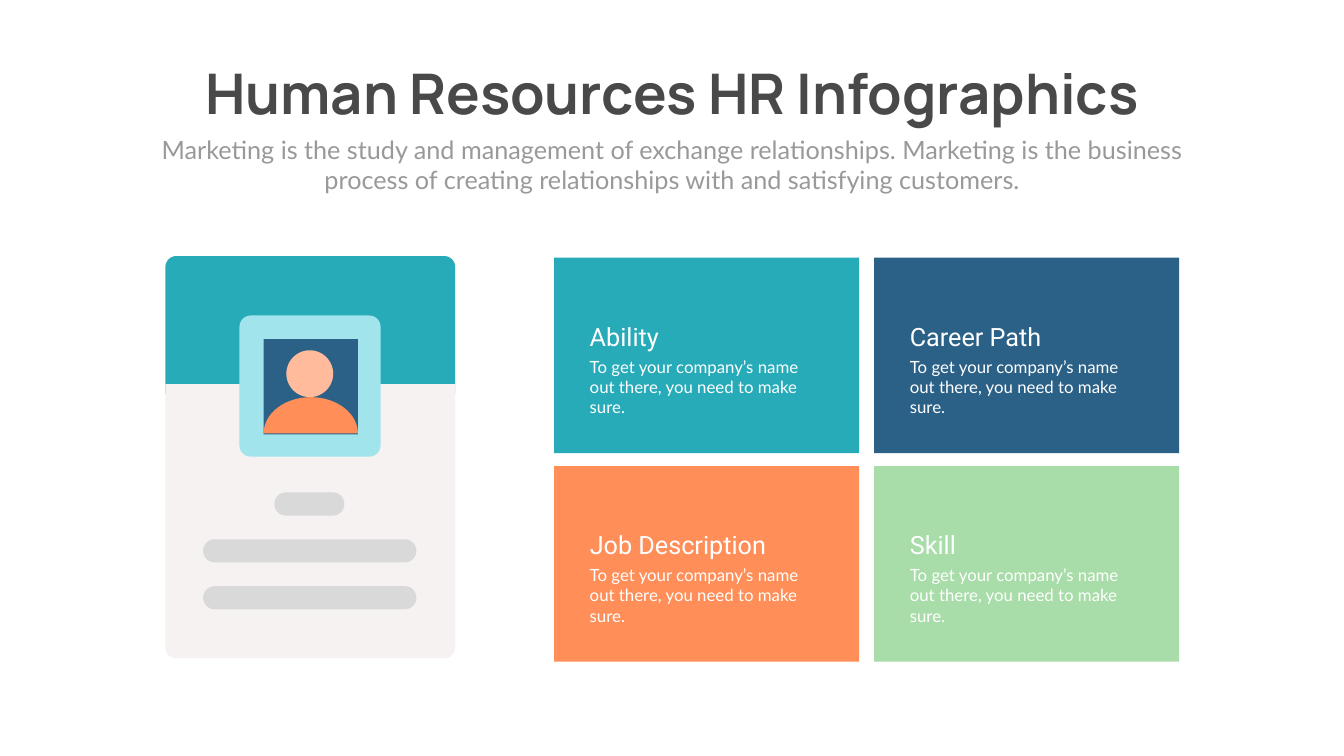
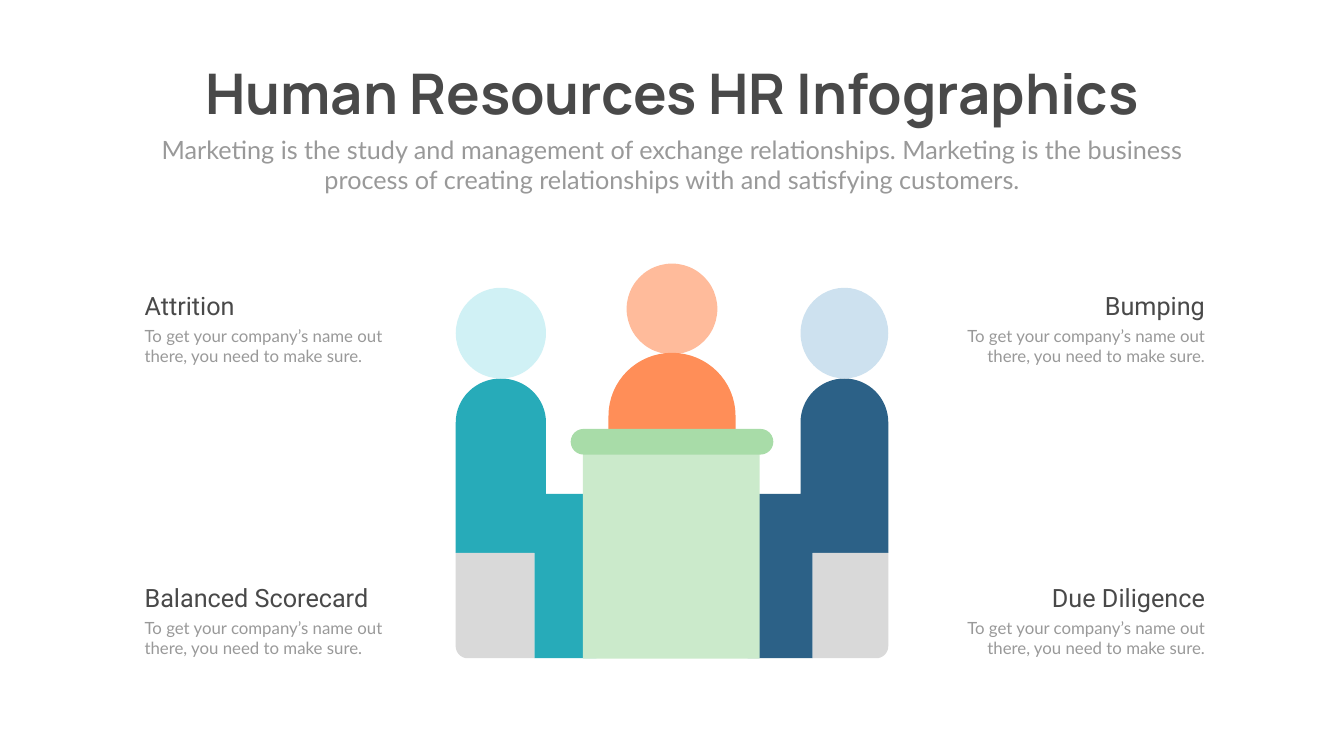
"""Build two human resources infographic slides."""
import math

import pptx
import pptx.dml.color
import pptx.enum.shapes
import pptx.enum.text
import pptx.util

Inches = pptx.util.Inches
SHAPES = pptx.enum.shapes.MSO_SHAPE
ALIGN = pptx.enum.text.PP_ALIGN

TEAL, NAVY, ORANGE, GREEN = "27ABB9", "2C6187", "FF8E58", "A8DCA8"
SKIN, GREY, WHITE = "FFBB9B", "D9D9D9", "FFFFFF"
DARK_TEXT, LIGHT_TEXT = "494949", "999999"

TITLE = "Human Resources HR Infographics"
SUBTITLE = (
    "Marketing is the study and management of exchange relationships. "
    "Marketing is the business process of creating relationships with "
    "and satisfying customers."
)
DESCRIPTION = "To get your company’s name out there, you need to make sure."


def color(hex_value):
    """Return the colour for a hex string."""
    return pptx.dml.color.RGBColor.from_string(hex_value)


def arc(center_x, center_y, radius_x, radius_y, start, end, steps=32):
    """Return points along an elliptical arc, with angles in degrees."""
    angles = [math.radians(start + (end - start) * i / steps) for i in range(steps + 1)]
    return [
        (center_x + radius_x * math.cos(a), center_y - radius_y * math.sin(a))
        for a in angles
    ]


class Deck:
    """Hold the shared style and the current slide."""

    def __init__(self):
        """Start an empty wide presentation."""
        self.presentation = pptx.Presentation()
        self.presentation.slide_width = Inches(26.66)
        self.presentation.slide_height = Inches(15)
        self.slide = None

    def add_slide(self):
        """Add a slide with the shared title and subtitle."""
        self.slide = self.presentation.slides.add_slide(self.presentation.slide_layouts[5])
        title = self.slide.shapes.title
        title.left, title.top = Inches(3.28), Inches(1.12)
        title.width, title.height = Inches(20.11), Inches(1.45)
        self.set_text(title, TITLE, "Manrope", 80, DARK_TEXT, ALIGN.CENTER, bold=True, wrap=False)
        self.text(2.92, 2.61, 20.82, 1.31, SUBTITLE, "Lato", 36, LIGHT_TEXT, ALIGN.CENTER)

    def set_text(self, shape, text, font, size, hex_value, align, bold=False, wrap=True):
        """Put formatted text into a shape."""
        frame = shape.text_frame
        frame.text = text
        frame.word_wrap = wrap
        frame.auto_size = pptx.enum.text.MSO_AUTO_SIZE.SHAPE_TO_FIT_TEXT
        frame.vertical_anchor = pptx.enum.text.MSO_ANCHOR.TOP
        paragraph = frame.paragraphs[0]
        paragraph.alignment = align
        run_font = paragraph.runs[0].font
        run_font.name, run_font.size, run_font.bold = font, pptx.util.Pt(size), bold
        run_font.color.rgb = color(hex_value)

    def text(self, left, top, width, height, text, font, size, hex_value, align=ALIGN.LEFT):
        """Add a text box."""
        box = self.slide.shapes.add_textbox(
            Inches(left), Inches(top), Inches(width), Inches(height))
        self.set_text(box, text, font, size, hex_value, align)

    def topic(self, edge, top, heading, heading_width, width, heading_color, body_color,
              align=ALIGN.LEFT):
        """Add a heading above its description, aligned to an edge."""
        rows = [
            (top + 0.7, width, 0.91, DESCRIPTION, "Lato", 24, body_color),
            (top, heading_width, 0.71, heading, "Roboto", 36, heading_color),
        ]
        for row_top, row_width, *style in rows:
            left = edge - row_width if align == ALIGN.RIGHT else edge
            self.text(left, row_top, row_width, *style, align)

    def paint(self, shape, hex_value):
        """Give a shape a flat fill without line or shadow."""
        shape.fill.solid()
        shape.fill.fore_color.rgb = color(hex_value)
        shape.line.fill.background()
        shape.shadow.inherit = False

    def shape(self, kind, left, top, width, height, hex_value, adjustments=()):
        """Add a flat preset shape."""
        shape = self.slide.shapes.add_shape(
            kind, Inches(left), Inches(top), Inches(width), Inches(height))
        for index, value in enumerate(adjustments):
            shape.adjustments[index] = value
        self.paint(shape, hex_value)

    def polygon(self, points, hex_value):
        """Add a flat closed outline."""
        start, *rest = [(Inches(x), Inches(y)) for x, y in points]
        builder = self.slide.shapes.build_freeform(*start)
        builder.add_line_segments(rest, close=True)
        self.paint(builder.convert_to_shape(), hex_value)

    def shoulders(self, left, top, width, height, rise, hex_value):
        """Add a rounded bust that stands on a flat base."""
        points = arc(left + width / 2, top + rise, width / 2, rise, 180, 0)
        base = [(left + width, top + height), (left, top + height)]
        self.polygon(points + base, hex_value)

    def seated_person(self, edge, direction, torso, seat, body_color, head_color):
        """Add a person on a seat, built inwards from an outer edge."""
        def place(points):
            """Turn distances from the outer edge into slide positions."""
            return [(edge + direction * x, y) for x, y in points]

        seat_top, floor, corner = 10.97, 13.06, 0.24
        body = arc(torso / 2, 8.38, torso / 2, 0.87, 180, 0) + [
            (torso, 9.8), (2.79, 9.8), (2.79, floor), (seat, floor),
            (seat, seat_top), (0, seat_top)]
        self.polygon(place(body), body_color)
        chair = [(0, seat_top)] + arc(corner, floor - corner, corner, corner, 180, 270) + [
            (seat, floor), (seat, seat_top)]
        self.polygon(place(chair), GREY)
        head_left = min(edge, edge + direction * torso)
        self.shape(SHAPES.OVAL, head_left, 5.71, torso, 1.8, head_color)


def add_profile_slide(deck):
    """Add the profile card beside four coloured tiles."""
    deck.add_slide()
    deck.shape(SHAPES.ROUND_2_SAME_RECTANGLE, 3.28, 5.08, 5.75, 2.73, TEAL, [0.08, 0])
    deck.shape(SHAPES.ROUND_2_SAME_RECTANGLE, 3.28, 7.62, 5.75, 5.44, "F5F2F1", [0, 0.04])
    deck.shape(SHAPES.ROUNDED_RECTANGLE, 4.75, 6.26, 2.8, 2.8, "A1E4EB", [0.08])
    deck.shape(SHAPES.RECTANGLE, 5.23, 6.73, 1.87, 1.89, NAVY)
    deck.shape(SHAPES.OVAL, 5.68, 6.95, 0.93, 0.93, SKIN)
    deck.shoulders(5.23, 7.88, 1.87, 0.72, 0.72, ORANGE)
    for row, (left, width) in enumerate([(5.44, 1.39), (4.03, 4.23), (4.03, 4.23)]):
        deck.shape(SHAPES.ROUNDED_RECTANGLE, left, 9.77 + 0.93 * row, width, 0.46, GREY, [0.5])

    tiles = [
        ("Ability", 3.26, TEAL), ("Career Path", 3.26, NAVY),
        ("Job Description", 3.91, ORANGE), ("Skill", 3.26, GREEN),
    ]
    for index, (heading, heading_width, fill) in enumerate(tiles):
        row, column = divmod(index, 2)
        left, top = 10.99 + 6.35 * column, 5.11 + 4.14 * row
        deck.shape(SHAPES.RECTANGLE, left, top, 6.05, 3.88, fill)
        deck.topic(left + 0.61, top + 1.21, heading, heading_width, 4.76, WHITE, WHITE)


def add_interview_slide(deck):
    """Add the meeting at a desk between four topics."""
    deck.add_slide()
    deck.seated_person(17.62, -1, 1.74, 1.5, NAVY, "CDE1EF")
    deck.seated_person(9.04, 1, 1.79, 1.56, TEAL, "D0F1F5")
    deck.shape(SHAPES.OVAL, 12.43, 5.23, 1.8, 1.8, SKIN)
    deck.shape(SHAPES.RECTANGLE, 11.56, 8.87, 3.51, 4.2, "CBEACB")
    deck.shoulders(12.07, 7, 2.52, 1.62, 1.25, ORANGE)
    deck.shape(SHAPES.ROUNDED_RECTANGLE, 11.32, 8.51, 4.02, 0.51, GREEN, [0.5])

    topics = [
        (2.77, 5.71, "Attrition", 3.26, ALIGN.LEFT),
        (2.77, 11.5, "Balanced Scorecard", 4.86, ALIGN.LEFT),
        (24, 5.71, "Bumping", 3.72, ALIGN.RIGHT),
        (24, 11.5, "Due Diligence", 6.17, ALIGN.RIGHT),
    ]
    for edge, top, heading, heading_width, align in topics:
        deck.topic(edge, top, heading, heading_width, 4.97, DARK_TEXT, LIGHT_TEXT, align)


def main():
    """Build and save the presentation."""
    deck = Deck()
    add_profile_slide(deck)
    add_interview_slide(deck)
    deck.presentation.save("out.pptx")


if __name__ == "__main__":
    main()
